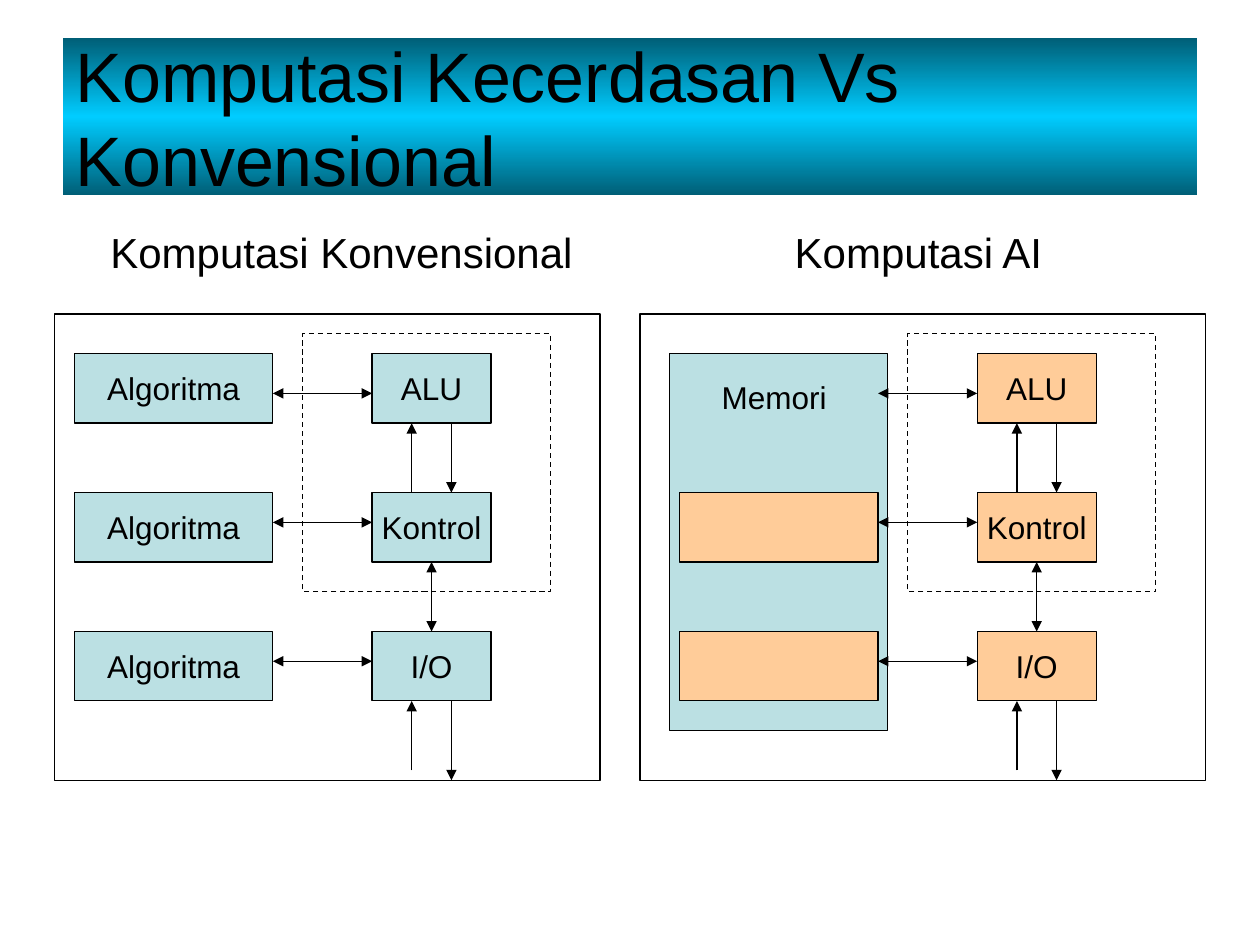
from copy import deepcopy
from dataclasses import dataclass

from lxml import etree
from pptx import Presentation
from pptx.dml.color import RGBColor
from pptx.enum.dml import MSO_LINE
from pptx.enum.shapes import MSO_CONNECTOR, MSO_SHAPE
from pptx.enum.text import MSO_ANCHOR, MSO_AUTO_SIZE, PP_ALIGN
from pptx.oxml.ns import qn
from pptx.util import Cm, Pt

RECTANGLE = MSO_SHAPE.RECTANGLE
STRAIGHT = MSO_CONNECTOR.STRAIGHT
DASH = MSO_LINE.DASH
MIDDLE = MSO_ANCHOR.MIDDLE
LEFT, CENTER = PP_ALIGN.LEFT, PP_ALIGN.CENTER
NO_AUTOFIT = MSO_AUTO_SIZE.NONE
TITLE_ONLY = 5


@dataclass(frozen=True)
class Theme:
    font: str = "Arial"
    ink: str = "000000"
    teal: str = "BBE0E3"
    orange: str = "FFCC99"
    band_edge: str = "005E76"
    band_middle: str = "00CCFF"
    title_size: int = 40
    heading_size: int = 24
    label_size: int = 18
    line_width: float = 0.75


class SlideBuilder:
    """Holds the style and the current slide; all lengths are in cm."""

    def __init__(self, theme, slide):
        self.theme = theme
        self.slide = slide

    def set_text(self, frame, text, size, align):
        frame.text = text
        paragraph = frame.paragraphs[0]
        paragraph.alignment = align
        paragraph.font.name = self.theme.font
        paragraph.font.size = Pt(size)
        paragraph.font.color.rgb = RGBColor.from_string(self.theme.ink)

    def outline(self, line):
        line.color.rgb = RGBColor.from_string(self.theme.ink)
        line.width = Pt(self.theme.line_width)

    def title(self, text, left, top, width, height):
        title = self.slide.shapes.title
        title.left, title.top = Cm(left), Cm(top)
        title.width, title.height = Cm(width), Cm(height)
        title.text_frame.auto_size = NO_AUTOFIT
        title.text_frame.vertical_anchor = MIDDLE
        self.set_text(title.text_frame, text, self.theme.title_size, LEFT)

        # Band that is dark at both edges and bright in the middle
        title.fill.gradient()
        title.fill.gradient_angle = 90
        stop_list = title._element.spPr.find(".//" + qn("a:gsLst"))
        stop_list.insert(1, deepcopy(stop_list[0]))
        edge, middle = self.theme.band_edge, self.theme.band_middle
        colors = (edge, middle, edge)
        for i, (stop, color) in enumerate(zip(title.fill.gradient_stops, colors)):
            stop.position = i / 2
            stop.color.rgb = RGBColor.from_string(color)

    def text(self, text, left, top, width, height, size, align, wrap=True):
        box = self.slide.shapes.add_textbox(Cm(left), Cm(top), Cm(width), Cm(height))
        box.text_frame.word_wrap = wrap
        self.set_text(box.text_frame, text, size, align)

    def box(self, left, top, width, height, fill=None, label=None, dashed=False):
        box = self.slide.shapes.add_shape(
            RECTANGLE, Cm(left), Cm(top), Cm(width), Cm(height))
        box.shadow.inherit = False
        if fill:
            box.fill.solid()
            box.fill.fore_color.rgb = RGBColor.from_string(fill)
        else:
            box.fill.background()
        self.outline(box.line)
        if dashed:
            box.line.dash_style = DASH
        if label:
            box.text_frame.word_wrap = False
            box.text_frame.vertical_anchor = MIDDLE
            self.set_text(box.text_frame, label, self.theme.label_size, CENTER)

    def arrow(self, x1, y1, x2, y2, both_ways=False):
        arrow = self.slide.shapes.add_connector(
            STRAIGHT, Cm(x1), Cm(y1), Cm(x2), Cm(y2))
        self.outline(arrow.line)
        properties = arrow._element.spPr
        ends = ("a:headEnd", "a:tailEnd") if both_ways else ("a:tailEnd",)
        for end in ends:
            etree.SubElement(properties.find(qn("a:ln")), qn(end), type="triangle")
        etree.SubElement(properties, qn("a:effectLst"))


# Grid shared by both machines
ROW_TOPS = [7.13 + 2.8 * row for row in range(3)]
BOX_HEIGHT = 1.4
STORE_WIDTH = 4
FRAME_TOP, FRAME_HEIGHT = 6.33, 9.4
UNITS = ("ALU", "Kontrol", "I/O")
BUS_DROPS = (0.8, 0.6, 0.6)
AI_SHIFT = 12.2


def processor(builder, shift, fill):
    """Units, their dashed group and all arrows of one machine."""
    unit_left, unit_width = 7.5 + shift, 2.4
    center = unit_left + unit_width / 2
    up, down = center - 0.4, center + 0.4
    alu_top, control_top, io_top = ROW_TOPS
    alu_bottom, control_bottom, io_bottom = [top + BOX_HEIGHT for top in ROW_TOPS]

    for label, top in zip(UNITS, ROW_TOPS):
        builder.box(unit_left, top, unit_width, BOX_HEIGHT, fill, label)
    builder.box(6.1 + shift, 6.73, 5, 5.2, dashed=True)

    # Between the units
    builder.arrow(center, io_top, center, control_bottom, both_ways=True)
    builder.arrow(up, control_top, up, alu_bottom)
    builder.arrow(down, alu_bottom, down, control_top)

    # To the storage on the left
    for top, drop in zip(ROW_TOPS, BUS_DROPS):
        builder.arrow(unit_left - 2, top + drop, unit_left, top + drop, both_ways=True)

    # Input and output
    builder.arrow(up, io_bottom + 1.4, up, io_bottom)
    builder.arrow(down, io_bottom, down, FRAME_TOP + FRAME_HEIGHT)


def main():
    presentation = Presentation()
    presentation.slide_width, presentation.slide_height = Cm(25.4), Cm(19.05)
    slide = presentation.slides.add_slide(presentation.slide_layouts[TITLE_ONLY])
    theme = Theme()
    builder = SlideBuilder(theme, slide)

    # Title and column headings
    builder.title("Komputasi Kecerdasan Vs Konvensional", 1.27, 0.76, 22.86, 3.18)
    for heading, left in (("Komputasi Konvensional", 1.27), ("Komputasi AI", 12.9)):
        builder.text(heading, left, 4.45, 11.23, 12.57, theme.heading_size, CENTER)

    # Conventional machine
    for top in ROW_TOPS:
        builder.box(1.5, top, STORE_WIDTH, BOX_HEIGHT, theme.teal, "Algoritma")
    processor(builder, 0, theme.teal)
    builder.box(1.1, FRAME_TOP, 11, FRAME_HEIGHT)

    # AI machine
    builder.box(13.5, ROW_TOPS[0], 4.4, 7.6, theme.teal)
    for top in ROW_TOPS[1:]:
        builder.box(1.5 + AI_SHIFT, top, STORE_WIDTH, BOX_HEIGHT, theme.orange)
    processor(builder, AI_SHIFT, theme.orange)
    builder.box(12.9, FRAME_TOP, 11.4, FRAME_HEIGHT)
    builder.text("Memori", 14.3, 7.5, 2.62, 1.02, theme.label_size, LEFT, wrap=False)

    presentation.save("out.pptx")


if __name__ == "__main__":
    main()
